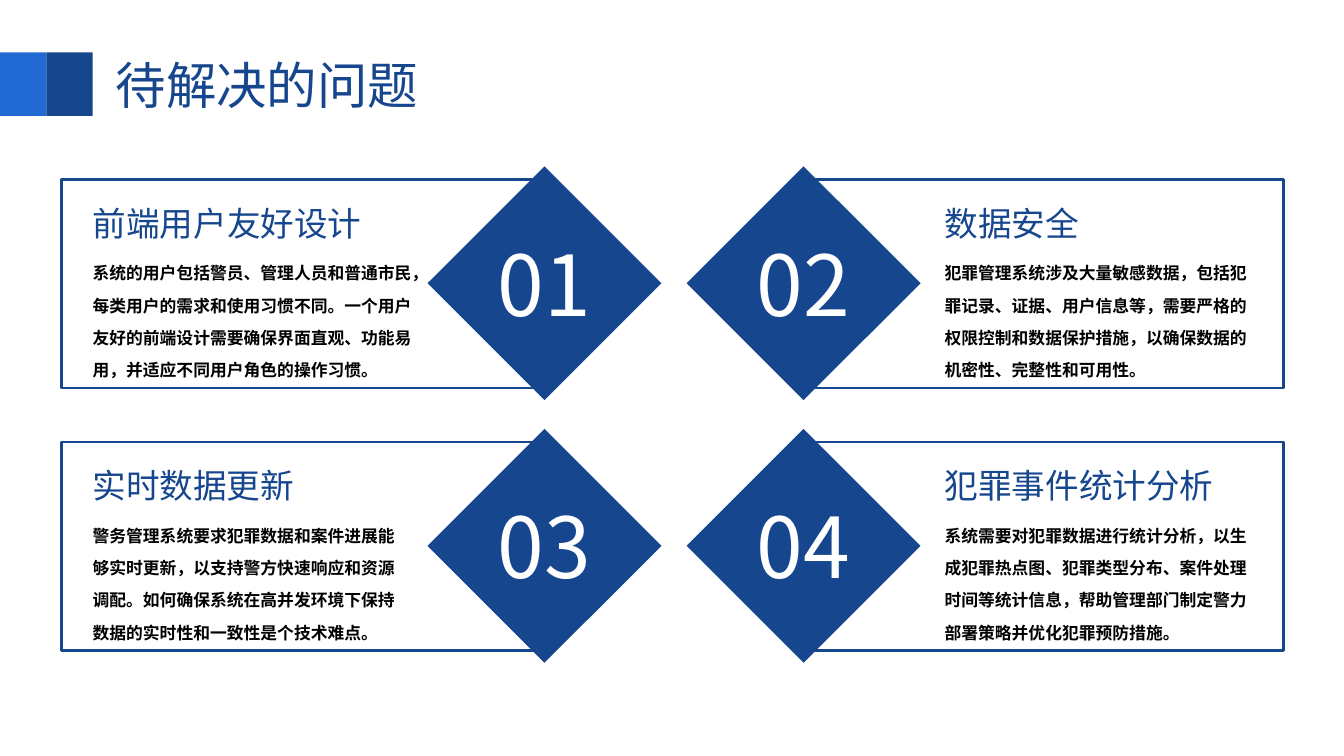
from pptx import Presentation
from pptx.dml.color import RGBColor
from pptx.enum.shapes import MSO_SHAPE as Preset
from pptx.enum.text import MSO_AUTO_SIZE as AutoSize, PP_ALIGN as Align
from pptx.oxml.ns import qn
from pptx.util import Inches, Pt
from lxml.etree import SubElement
from dataclasses import dataclass


@dataclass(frozen=True)
class Theme:
    navy: str = "16468D"
    blue: str = "2169D3"
    black: str = "000000"
    white: str = "FFFFFF"
    font: str = "Noto Sans CJK JP"
    title: int = 36
    heading: int = 24
    body: int = 12
    number: int = 60


THEME = Theme()
TITLE = "待解决的问题"
ISSUES = [
    ("01", "前端用户友好设计", 3.43,
     "系统的用户包括警员、管理人员和普通市民，每类用户的需求和使用习惯不同。一个用户友好的前端设计需要确保界面直观、功能易用，并适应不同用户角色的操作习惯。"),
    ("02", "数据安全", 3.25,
     "犯罪管理系统涉及大量敏感数据，包括犯罪记录、证据、用户信息等，需要严格的权限控制和数据保护措施，以确保数据的机密性、完整性和可用性。"),
    ("03", "实时数据更新", 3.25,
     "警务管理系统要求犯罪数据和案件进展能够实时更新，以支持警方快速响应和资源调配。如何确保系统在高并发环境下保持数据的实时性和一致性是个技术难点。"),
    ("04", "犯罪事件统计分析", 3.25,
     "系统需要对犯罪数据进行统计分析，以生成犯罪热点图、犯罪类型分布、案件处理时间等统计信息，帮助管理部门制定警力部署策略并优化犯罪预防措施。"),
]
COLUMNS = [
    {"frame": 0.61, "diamond": 4.24, "text": 0.82},
    {"frame": 8.0, "diamond": 6.81, "text": 9.27},
]
FIRST_ROW = 1.65
ROW_STEP = 2.605
FRAME_SIZE = (4.73, 2.07)
DIAMOND_SIDE = 2.32
NUMBER_SIZE = (1.18, 1.11)
TAB_SIZE = (0.46, 0.63)
INSET = 0.1

deck = Presentation()
deck.slide_width = Inches(13.33)
deck.slide_height = Inches(7.5)
page = deck.slides.add_slide(deck.slide_layouts[6])


def add_shape(preset, left, top, width, height, fill=None, line=None):
    shape = page.shapes.add_shape(
        preset, Inches(left), Inches(top), Inches(width), Inches(height))
    shape.shadow.inherit = False
    if fill:
        shape.fill.solid()
        shape.fill.fore_color.rgb = RGBColor.from_string(fill)
    else:
        shape.fill.background()
    if line:
        shape.line.color.rgb = RGBColor.from_string(line)
        shape.line.width = Pt(2)
    else:
        shape.line.fill.background()


def add_text(text, left, top, width, height, size, color,
             wrap=False, bold=False, align=Align.LEFT, spacing=None):
    box = page.shapes.add_textbox(
        Inches(left), Inches(top), Inches(width), Inches(height))
    frame = box.text_frame
    frame.word_wrap = wrap
    frame.auto_size = AutoSize.SHAPE_TO_FIT_TEXT
    para = frame.paragraphs[0]
    para.alignment = align
    para.line_spacing = spacing
    span = para.add_run()
    span.text = text
    span.font.size = Pt(size)
    span.font.bold = bold
    span.font.color.rgb = RGBColor.from_string(color)
    span.font.name = THEME.font
    SubElement(span.font._element, qn("a:ea"), typeface=THEME.font)


def line_width(text, size):
    return len(text) * size / 72 + 2 * INSET


def add_issue(issue, column, top):
    number, heading, body_width, body = issue
    add_shape(Preset.RECTANGLE, column["frame"], top + 0.13, *FRAME_SIZE,
              line=THEME.navy)
    add_shape(Preset.DIAMOND, column["diamond"], top, DIAMOND_SIDE, DIAMOND_SIDE,
              fill=THEME.navy)
    add_text(body, column["text"], top + 0.79, body_width, 1.39,
             THEME.body, THEME.black, wrap=True, bold=True, spacing=1.6)
    add_text(heading, column["text"], top + 0.31,
             line_width(heading, THEME.heading), 0.5, THEME.heading, THEME.navy)
    width, height = NUMBER_SIZE
    add_text(number, column["diamond"] + (DIAMOND_SIDE - width) / 2,
             top + (DIAMOND_SIDE - height) / 2, width, height,
             THEME.number, THEME.white, align=Align.CENTER)


for index, color in enumerate((THEME.blue, THEME.navy)):
    add_shape(Preset.RECTANGLE, index * TAB_SIZE[0], 0.52, *TAB_SIZE, fill=color)
add_text(TITLE, 1.05, 0.49, line_width(TITLE, THEME.title), 0.71,
         THEME.title, THEME.navy)

for index, issue in enumerate(ISSUES):
    row, side = divmod(index, len(COLUMNS))
    add_issue(issue, COLUMNS[side], FIRST_ROW + row * ROW_STEP)

deck.save("out.pptx")
